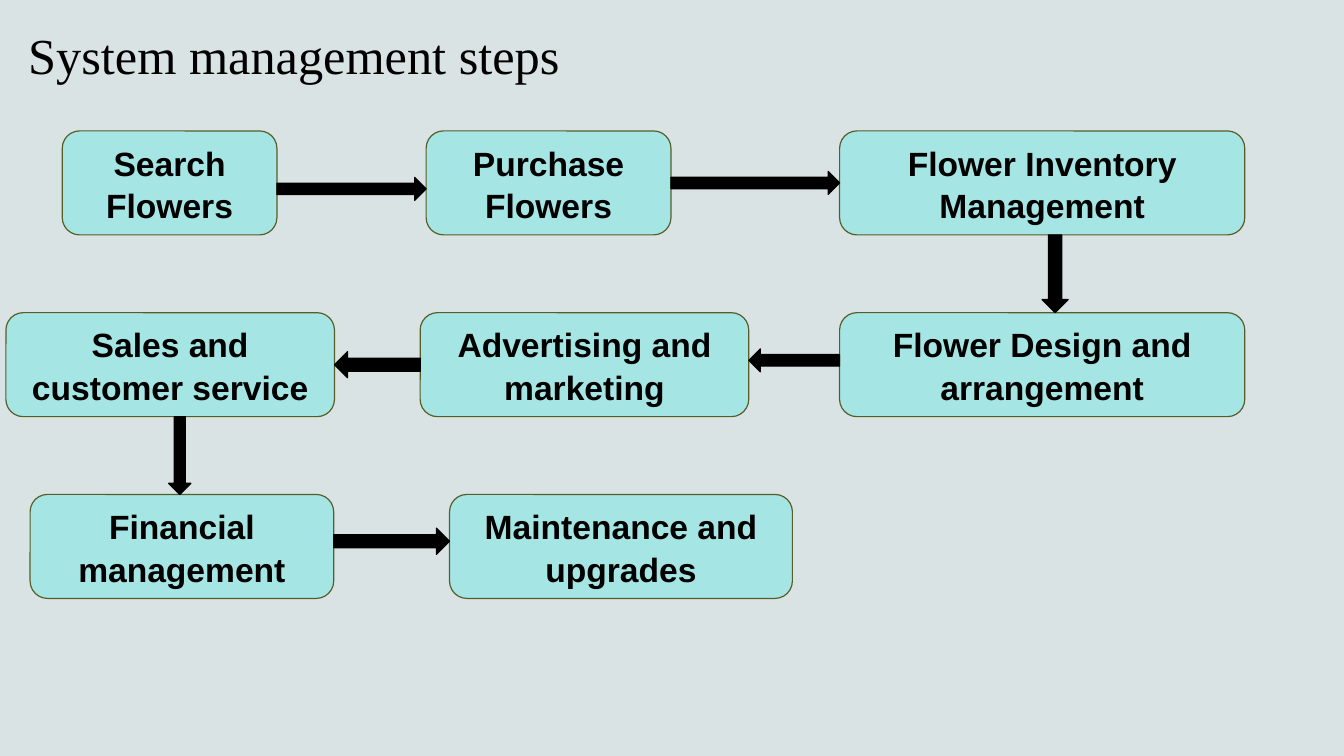
from pptx import Presentation
from pptx.dml.color import RGBColor
from pptx.enum.shapes import MSO_SHAPE as Preset
from pptx.enum.text import MSO_ANCHOR as Anchor, MSO_AUTO_SIZE as AutoSize, PP_ALIGN as Align
from pptx.util import Cm, Pt

BACKGROUND = RGBColor(0xDA, 0xE3, 0xE3)
STEP_FILL = RGBColor(0xA5, 0xE6, 0xE4)
STEP_LINE = RGBColor(0x57, 0x5D, 0x29)
BLACK = RGBColor(0, 0, 0)

ROW_TOP, ROW_PITCH, STEP_HEIGHT = 3.3, 4.58, 2.62

# Text, row, left and width in cm, in the order of the flow
STEPS = [
    ("Search Flowers", 0, 1.57, 5.41),
    ("Purchase Flowers", 0, 10.74, 6.17),
    ("Flower Inventory Management", 0, 21.16, 10.21),
    ("Flower Design and arrangement", 1, 21.16, 10.21),
    ("Advertising and marketing", 1, 10.59, 8.28),
    ("Sales and customer service", 1, 0.15, 8.28),
    ("Financial management", 2, 0.76, 7.65),
    ("Maintenance and upgrades", 2, 11.33, 8.64),
]

# Centre line (y of a horizontal arrow, x of a vertical one) and thickness in cm
ARROWS = [
    (4.76, 0.58),
    (4.61, 0.58),
    (26.59, 0.66),
    (9.08, 0.58),
    (9.19, 0.66),
    (4.53, 0.56),
    (13.64, 0.66),
]


def style_shape(shape, fill, line):
    shape.shadow.inherit = False
    shape.fill.solid()
    shape.fill.fore_color.rgb = fill
    shape.line.color.rgb = line
    shape.line.width = Pt(0.85)


def set_title(slide, text):
    title = slide.shapes.title
    title.left, title.top, title.width, title.height = Cm(0.71), Cm(0.2), Cm(15.37), Cm(2.06)
    frame = title.text_frame
    frame.text = text
    frame.auto_size = AutoSize.NONE
    frame.vertical_anchor = Anchor.BOTTOM
    frame.margin_left = 0
    paragraph = frame.paragraphs[0]
    paragraph.alignment = Align.LEFT
    paragraph.font.name = "Times New Roman"
    paragraph.font.size = Pt(36)
    paragraph.font.color.rgb = BLACK


def add_step(slide, text, row, left, width):
    top = ROW_TOP + row * ROW_PITCH
    step = slide.shapes.add_shape(
        Preset.ROUNDED_RECTANGLE, Cm(left), Cm(top), Cm(width), Cm(STEP_HEIGHT))
    style_shape(step, STEP_FILL, STEP_LINE)
    frame = step.text_frame
    frame.text = text
    frame.word_wrap = True
    frame.vertical_anchor = Anchor.MIDDLE
    paragraph = frame.paragraphs[0]
    paragraph.alignment = Align.CENTER
    paragraph.line_spacing = 1.05
    paragraph.font.name = "Arial"
    paragraph.font.size = Pt(24)
    paragraph.font.bold = True
    paragraph.font.color.rgb = BLACK
    return step


def add_arrow(slide, source, target, centre, thickness):
    """Fill the gap between two steps with a block arrow towards the target."""
    if source.top + source.height < target.top:
        start, end, rotation = source.top + source.height, target.top, 90
    elif source.left < target.left:
        start, end, rotation = source.left + source.width, target.left, 0
    else:
        start, end, rotation = target.left + target.width, source.left, 180
    length = end - start
    middle_x, middle_y = (start + end) // 2, Cm(centre)
    if rotation == 90:
        middle_x, middle_y = middle_y, middle_x
    arrow = slide.shapes.add_shape(
        Preset.RIGHT_ARROW, middle_x - length // 2, middle_y - Cm(thickness) // 2,
        length, Cm(thickness))
    arrow.rotation = rotation
    style_shape(arrow, BLACK, BLACK)


def main():
    presentation = Presentation()
    presentation.slide_width = Cm(33.87)
    presentation.slide_height = Cm(19.05)
    slide = presentation.slides.add_slide(presentation.slide_layouts.get_by_name("Title Only"))
    slide.background.fill.solid()
    slide.background.fill.fore_color.rgb = BACKGROUND

    set_title(slide, "System management steps")
    steps = [add_step(slide, *step) for step in STEPS]
    for source, target, arrow in zip(steps, steps[1:], ARROWS):
        add_arrow(slide, source, target, *arrow)
    presentation.save("out.pptx")


if __name__ == "__main__":
    main()
